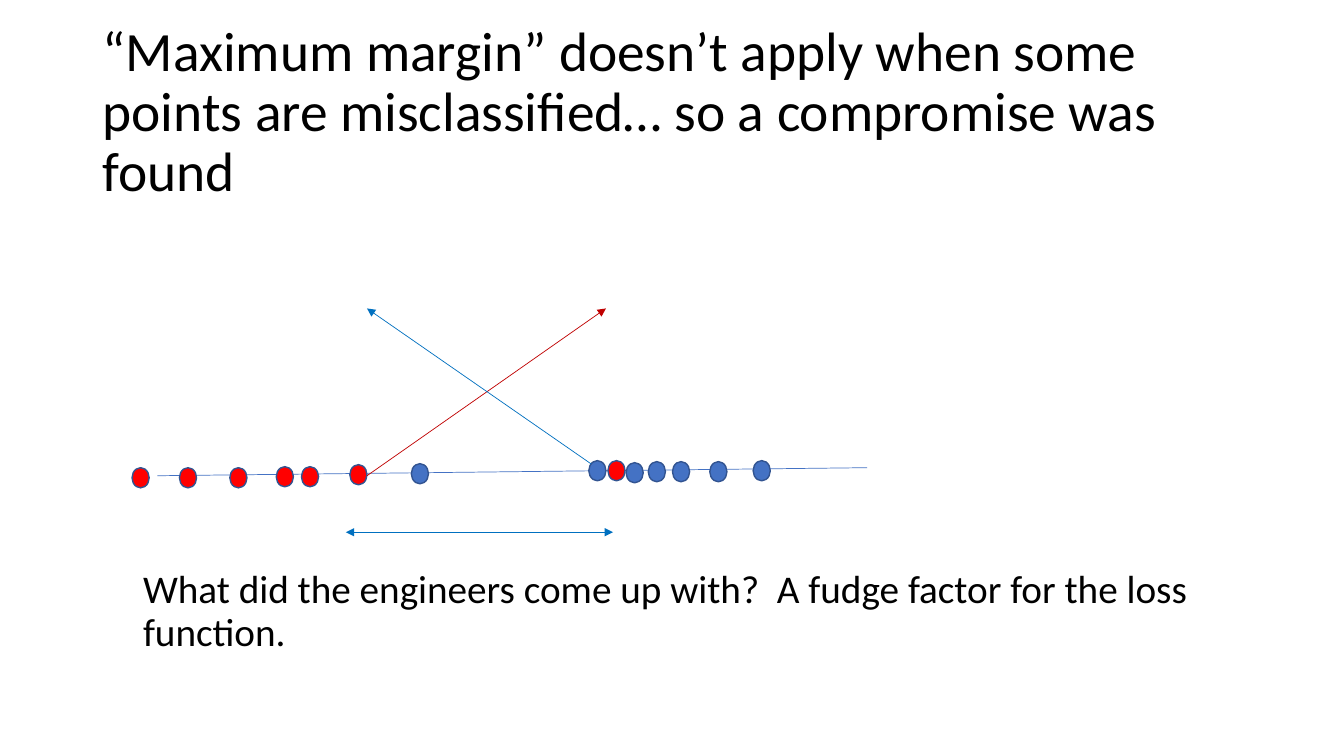
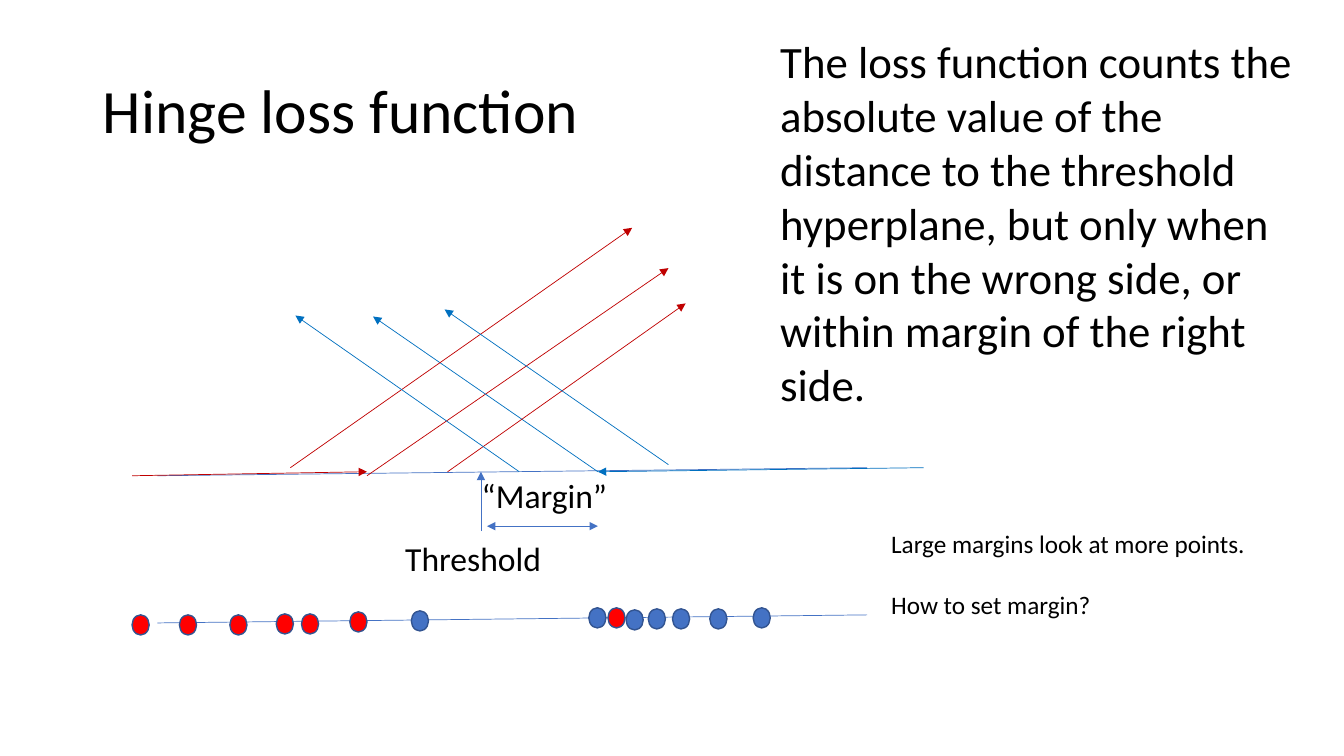
from dataclasses import dataclass

import pptx
import pptx.dml.color
import pptx.enum.shapes
import pptx.enum.text
import pptx.oxml
import pptx.oxml.ns
import pptx.slide
import pptx.util

# Lengths are px, at 100 px to the inch
EMU_PER_PX = 9144
PAGE_WIDTH, PAGE_HEIGHT = 1333, 750

FONT = "Calibri"
BLACK = pptx.dml.color.RGBColor(0x00, 0x00, 0x00)
RED = pptx.dml.color.RGBColor(0xFF, 0x00, 0x00)
DARK_RED = pptx.dml.color.RGBColor(0xC0, 0x00, 0x00)
BLUE = pptx.dml.color.RGBColor(0x44, 0x72, 0xC4)
BRIGHT_BLUE = pptx.dml.color.RGBColor(0x00, 0x70, 0xC0)
OUTLINE = pptx.dml.color.RGBColor(0x32, 0x54, 0x91)

MIDDLE = pptx.enum.text.MSO_ANCHOR.MIDDLE
TOP = pptx.enum.text.MSO_ANCHOR.TOP
OVAL = pptx.enum.shapes.MSO_SHAPE.OVAL
STRAIGHT = pptx.enum.shapes.MSO_CONNECTOR.STRAIGHT


@dataclass(frozen=True)
class Label:
    left: int
    top: int
    width: int
    height: int
    size: float
    paragraphs: tuple[str, ...]
    anchor: pptx.enum.text.MSO_ANCHOR = MIDDLE
    line_spacing: float = 0.9
    gap: int = 0


@dataclass(frozen=True)
class Line:
    x1: int
    y1: int
    x2: int
    y2: int
    color: pptx.dml.color.RGBColor
    ends: tuple[str, ...] = ("tailEnd",)


@dataclass(frozen=True)
class Point:
    left: int
    top: int
    color: pptx.dml.color.RGBColor


# Data points along the number line
POINT_WIDTH, POINT_HEIGHT = 17, 20
POINTS = (
    Point(131, 464, RED), Point(178, 464, RED), Point(228, 464, RED),
    Point(274, 463, RED), Point(299, 463, RED), Point(347, 461, RED),
    Point(408, 460, BLUE), Point(584, 457, BLUE), Point(603, 457, RED),
    Point(621, 459, BLUE), Point(643, 458, BLUE), Point(667, 458, BLUE),
    Point(704, 458, BLUE), Point(747, 457, BLUE),
)
SECOND_AXIS_SHIFT = 146
BOTH_ENDS = ("headEnd", "tailEnd")

# Slide 1
COMPROMISE_LINES = (
    Line(364, 472, 601, 306, DARK_RED),
    Line(586, 460, 364, 306, BRIGHT_BLUE),
    Line(608, 528, 343, 528, BRIGHT_BLUE, BOTH_ENDS),
)
ENGINEERS = Label(132, 505, 1168, 205, 28, (
    "What did the engineers come up with?  A fudge factor for the loss function.",))

# Slide 2
HINGE_LINES = (
    Line(364, 472, 663, 266, DARK_RED),
    Line(593, 468, 370, 314, BRIGHT_BLUE),
    Line(131, 472, 364, 468, DARK_RED),
    Line(916, 464, 593, 468, BRIGHT_BLUE),
    Line(477, 527, 477, 468, BLUE),
    Line(483, 522, 593, 522, BLUE, BOTH_ENDS),
    Line(288, 464, 627, 226, DARK_RED),
    Line(444, 468, 680, 301, DARK_RED),
    Line(515, 468, 293, 313, BRIGHT_BLUE),
    Line(663, 461, 441, 307, BRIGHT_BLUE),
)
HINGE_LABELS = (
    Label(392, 527, 170, 59, 24, ("Threshold",)),
    Label(468, 464, 170, 59, 24, ("“Margin”",)),
    Label(874, 519, 386, 101, 18,
          ("Large margins look at more points.", "How to set margin?"),
          TOP, 1.0, 22),
    Label(764, 29, 530, 387, 32, (
        "The loss function counts the absolute value of the distance to the "
        "threshold hyperplane, but only when it is on the wrong side, or "
        "within margin of the right side.",), TOP, 1.0),
)


def px(length: int) -> pptx.util.Emu:
    return pptx.util.Emu(length * EMU_PER_PX)


def draw_label(page: pptx.slide.Slide, label: Label) -> None:
    box = page.shapes.add_textbox(
        px(label.left), px(label.top), px(label.width), px(label.height))
    frame = box.text_frame
    frame.word_wrap = True
    frame.vertical_anchor = label.anchor
    frame.text = "\n".join(label.paragraphs)
    for index, para in enumerate(frame.paragraphs):
        para.line_spacing = label.line_spacing
        if index:
            para.space_before = pptx.util.Pt(label.gap)
        for span in para.runs:
            span.font.name = FONT
            span.font.size = pptx.util.Pt(label.size)
            span.font.color.rgb = BLACK


def draw_title(page: pptx.slide.Slide, text: str, size: float) -> None:
    draw_label(page, Label(92, 40, 1150, 145, size, (text,)))


def draw_line(page: pptx.slide.Slide, line: Line) -> None:
    connector = page.shapes.add_connector(
        STRAIGHT, px(line.x1), px(line.y1), px(line.x2), px(line.y2))
    connector.line.color.rgb = line.color
    connector.line.width = pptx.util.Pt(0.5)
    outline = connector.line._get_or_add_ln()
    for end in line.ends:
        arrowhead = pptx.oxml.parse_xml(
            f'<a:{end} {pptx.oxml.ns.nsdecls("a")} type="triangle"/>')
        outline.append(arrowhead)
    connector._element.spPr.append(
        pptx.oxml.parse_xml(f'<a:effectLst {pptx.oxml.ns.nsdecls("a")}/>'))


def draw_axis(page: pptx.slide.Slide, shift: int = 0) -> None:
    draw_line(page, Line(156, 472 + shift, 860, 464 + shift, BLUE, ()))


def draw_points(page: pptx.slide.Slide, shift: int = 0) -> None:
    for point in POINTS:
        dot = page.shapes.add_shape(
            OVAL, px(point.left), px(point.top + shift),
            px(POINT_WIDTH), px(POINT_HEIGHT))
        dot.shadow.inherit = False
        dot.fill.solid()
        dot.fill.fore_color.rgb = point.color
        dot.line.color.rgb = OUTLINE
        dot.line.width = pptx.util.Pt(1)


def build_compromise(page: pptx.slide.Slide) -> None:
    draw_title(page, "“Maximum margin” doesn’t apply when some points are "
                     "misclassified… so a compromise was found", 39.6)
    draw_axis(page)
    draw_points(page)
    draw_label(page, ENGINEERS)
    for line in COMPROMISE_LINES:
        draw_line(page, line)


def build_hinge_loss(page: pptx.slide.Slide) -> None:
    draw_title(page, "Hinge loss function", 44)
    draw_axis(page)
    draw_axis(page, SECOND_AXIS_SHIFT)
    draw_points(page, SECOND_AXIS_SHIFT)
    for line in HINGE_LINES:
        draw_line(page, line)
    for label in HINGE_LABELS:
        draw_label(page, label)


def main() -> None:
    deck = pptx.Presentation()
    deck.slide_width, deck.slide_height = px(PAGE_WIDTH), px(PAGE_HEIGHT)
    blank = deck.slide_layouts[6]
    for build in (build_compromise, build_hinge_loss):
        build(deck.slides.add_slide(blank))
    deck.save("out.pptx")


if __name__ == "__main__":
    main()
